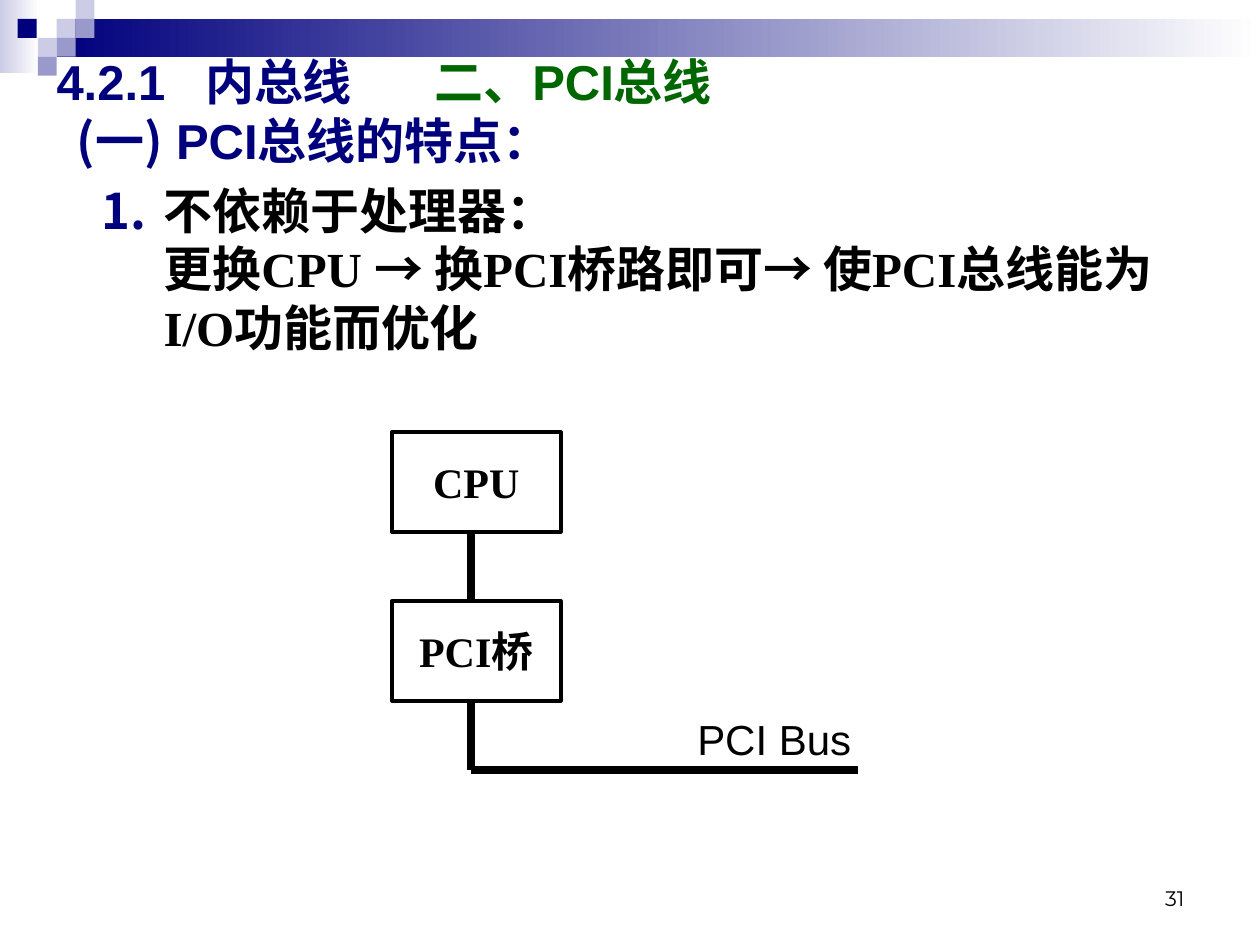
from lxml.etree import SubElement
from pptx import Presentation
from pptx.dml.color import RGBColor
from pptx.enum.shapes import MSO_CONNECTOR, MSO_SHAPE
from pptx.enum.text import MSO_ANCHOR, PP_ALIGN
from pptx.oxml.ns import qn
from pptx.util import Inches, Pt

COLORS = {"navy": "00007D", "green": "006600", "black": "000000", "white": "FFFFFF",
          "pale": "CCCCE6", "mid": "9999CC"}
LATIN, SERIF, CJK, NUMERAL = "Arial", "Times New Roman", "Noto Sans CJK SC", "Montserrat"

GRADIENT_BANDS = [((0, 0, 0.31, 0.58), "pale"), ((0.45, 0.15, 9.55, 0.3), "navy")]
TILE = 0.15
TILES = [(0.45, 0.15, "pale"), (0.6, 0, "pale"), (0.6, 0.15, "mid"), (0.3, 0.3, "pale"),
         (0.14, 0.15, "navy"), (0.45, 0.3, "mid"), (0.3, 0.45, "mid")]

# Runs are (text, font, colour)
TITLE = [("4.2.1\t内总线\t", LATIN, "navy"), ("二、PCI总线", LATIN, "green")]
TITLE_TABS = (1.18, 3)
SUBTITLE = [("(", CJK, "navy"), ("一", LATIN, "navy"), (")", CJK, "navy"),
            (" PCI总线的特点：", LATIN, "navy")]
FEATURE = [("不依赖于处理器：\n更换CPU ", SERIF, "black"), ("→ ", CJK, "black"),
           ("换PCI桥路即可", SERIF, "black"), ("→ ", CJK, "black"),
           ("使PCI总线能为I/O功能而优化", SERIF, "black")]

BOX_LEFT, BOX_WIDTH, BOX_HEIGHT = 3.11, 1.34, 0.79
BOXES = [("CPU", 3.43), ("PCI桥", 4.77)]
BUS_LEFT, BUS_RIGHT, LINK_LENGTH = 3.74, 6.81, 0.55


def color(name):
    return RGBColor.from_string(COLORS[name])


def style(font, size, face, tint, bold=False):
    font.size, font.name, font.bold = Pt(size), face, bold
    font.color.rgb = color(tint)


def add_rect(slide, *place):
    rect = slide.shapes.add_shape(MSO_SHAPE.RECTANGLE, *map(Inches, place))
    rect.shadow.inherit = False
    return rect


def add_text(slide, *place):
    """Add a wrapping text box and return its first paragraph."""
    frame = slide.shapes.add_textbox(*map(Inches, place)).text_frame
    frame.word_wrap = True
    return frame.paragraphs[0]


def add_runs(paragraph, runs):
    for text, face, tint in runs:
        for number, line in enumerate(text.split("\n")):
            if number:
                paragraph.add_line_break()
            run = paragraph.add_run()
            run.text = line
            style(run.font, 28, face, tint, bold=True)


def add_tabs(paragraph, stops):
    tabs = SubElement(paragraph._p.get_or_add_pPr(), qn("a:tabLst"))
    for stop in stops:
        SubElement(tabs, qn("a:tab"), pos=str(Inches(stop)), algn="l")


def add_number(paragraph, indent):
    properties = paragraph._p.get_or_add_pPr()
    properties.set("marL", str(Inches(indent)))
    properties.set("indent", str(-Inches(indent)))
    tint = SubElement(properties, qn("a:buClr"))
    SubElement(tint, qn("a:srgbClr"), val=COLORS["navy"])
    SubElement(properties, qn("a:buFont"), typeface=CJK)
    SubElement(properties, qn("a:buAutoNum"), type="arabicPeriod")


def add_bus_line(slide, *ends):
    line = slide.shapes.add_connector(MSO_CONNECTOR.STRAIGHT, *map(Inches, ends))
    line.line.color.rgb = color("black")
    line.line.width = Pt(4.5)
    SubElement(line._element.spPr, qn("a:effectLst"))


def draw_banner(slide):
    for place, tint in GRADIENT_BANDS:
        band = add_rect(slide, *place)
        band.line.fill.background()
        band.fill.gradient()
        band.fill.gradient_angle = 0
        for stop, name in zip(band.fill.gradient_stops, (tint, "white")):
            stop.color.rgb = color(name)
    for left, top, tint in TILES:
        tile = add_rect(slide, left, top, TILE, TILE)
        tile.line.fill.background()
        tile.fill.solid()
        tile.fill.fore_color.rgb = color(tint)


def draw_text(slide):
    page = add_text(slide, 7.17, 6.98, 2.33, 0.35)
    page.text, page.alignment = "31", PP_ALIGN.RIGHT
    style(page.font, 12, NUMERAL, "black")

    title = add_text(slide, 0.35, 0.36, 9.45, 0.63)
    add_tabs(title, TITLE_TABS)
    add_runs(title, TITLE)

    feature = add_text(slide, 0.71, 1.38, 8.86, 5.94)
    add_number(feature, 0.49)
    add_runs(feature, FEATURE)

    add_runs(add_text(slide, 0.51, 0.83, 9, 0.63), SUBTITLE)


def draw_diagram(slide):
    for label, top in BOXES:
        box = add_rect(slide, BOX_LEFT, top, BOX_WIDTH, BOX_HEIGHT)
        box.fill.background()
        box.line.color.rgb = color("black")
        box.line.width = Pt(2.25)
        box.text_frame.word_wrap = False
        box.text_frame.vertical_anchor = MSO_ANCHOR.MIDDLE
        caption = box.text_frame.paragraphs[0]
        caption.text, caption.alignment = label, PP_ALIGN.CENTER
        style(caption.font, 24, SERIF, "black", bold=True)
        bottom = top + BOX_HEIGHT
        bus_top = bottom + LINK_LENGTH
        add_bus_line(slide, BUS_LEFT, bottom, BUS_LEFT, bus_top)
    add_bus_line(slide, BUS_LEFT, bus_top, BUS_RIGHT, bus_top)

    bus = add_text(slide, 5.24, 5.61, 1.81, 0.5)
    bus.text, bus.alignment = "PCI Bus", PP_ALIGN.CENTER
    style(bus.font, 24, LATIN, "black")


def main():
    deck = Presentation()
    deck.slide_width, deck.slide_height = Inches(10), Inches(7.5)
    slide = deck.slides.add_slide(deck.slide_layouts[6])
    draw_banner(slide)
    draw_text(slide)
    draw_diagram(slide)
    deck.save("out.pptx")


if __name__ == "__main__":
    main()
